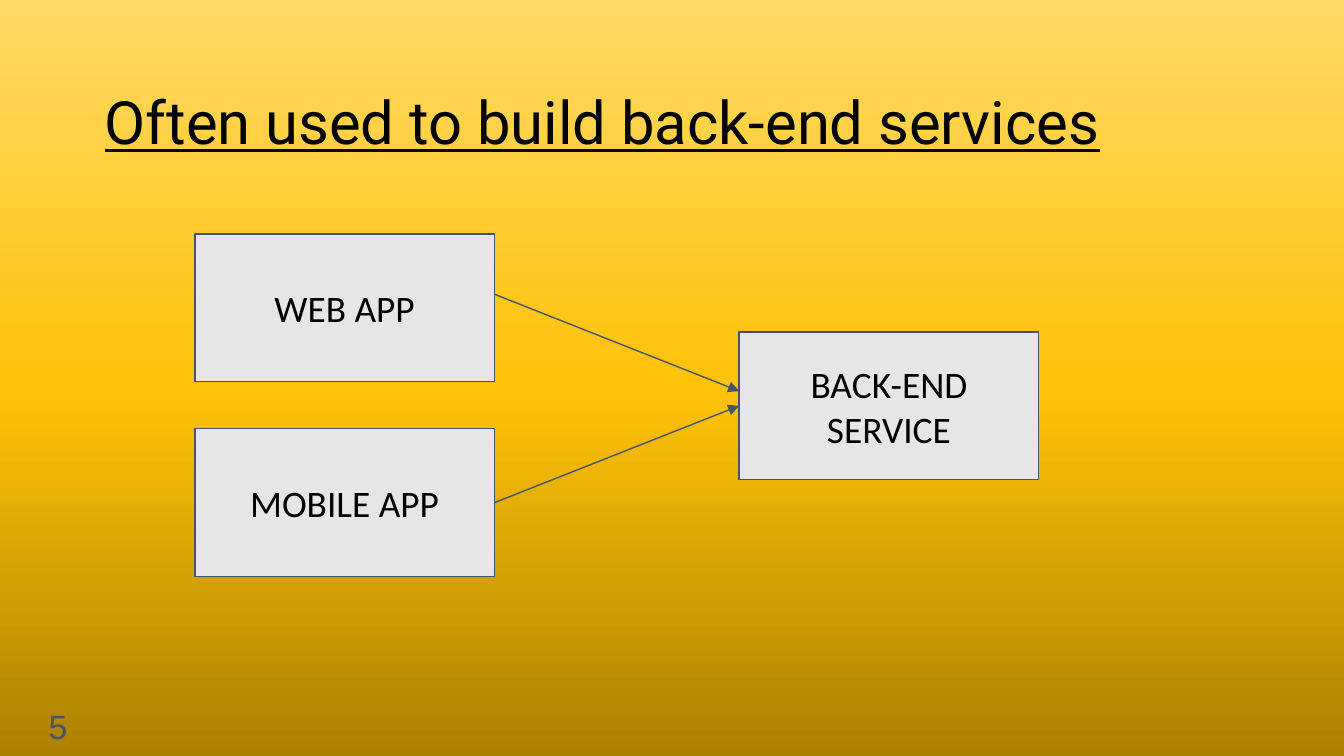
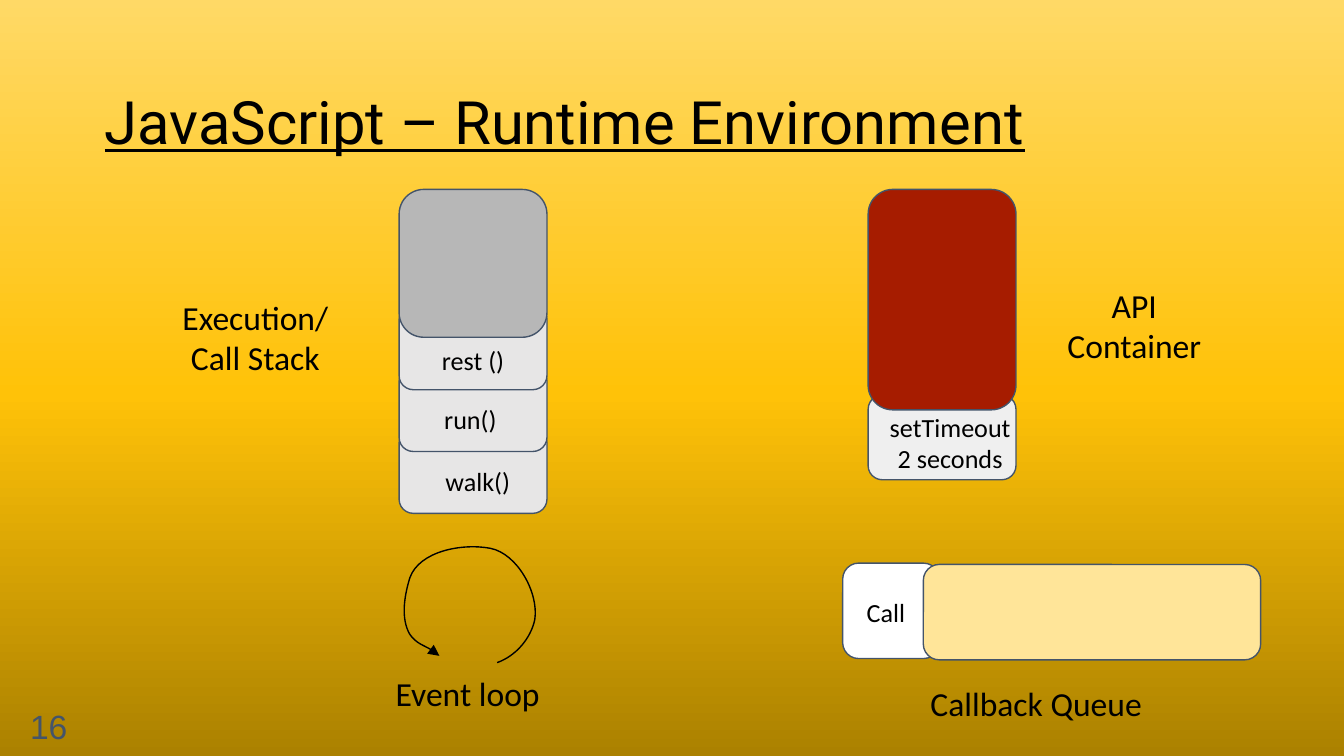
"""Builds two slides on back-end services and the JavaScript runtime."""
from lxml.etree import SubElement
from pptx import Presentation
from pptx.dml.color import RGBColor
from pptx.enum.shapes import MSO_CONNECTOR as CONN, MSO_SHAPE as SHAPE
from pptx.enum.text import MSO_ANCHOR as ANCHOR, MSO_AUTO_SIZE as FIT, PP_ALIGN as ALIGN
from pptx.oxml.ns import qn
from pptx.util import Pt

PX = 9144
SLIDE_W = 1000
BLACK, SLATE, SILVER = "000000", "44546A", "E7E6E6"
GRADIENT = [(0, "AB8100"), (48, "FFC208"), (100, "FFD966")]
TITLE_BOX, NUMBER_BOX = (68, 53, 932, 63), (0, 519, 60, 43)

SERVICE_W, SERVICE_H = 223, 110
SERVICES = [("WEB APP", 145, 174), ("MOBILE APP", 145, 319), ("BACK-END SERVICE", 550, 247)]
REQUESTS = [(368, 219, 550, 291), (368, 374, 550, 302)]

STACK_X, STACK_BOTTOM, STACK_STEP, FRAME_W, FRAME_H = 297, 319, 46, 110, 63
CALLS = [
    ("rest ()", (303, 248, 98, 16)),
    ("run()", (314, 290, 72, 34)),
    ("walk()", (312, 336, 87, 34)),
]
API_PARTS = [((646, 294, 110, 63), "EFEFEF"), ((646, 141, 110, 164), "A61C00")]
STACK_COVER = ((STACK_X, 141, FRAME_W, 110), "B7B7B7")
QUEUE_PARTS = [((627, 419, 72, 71), "FFFFFF"), ((687, 420, 251, 71), "FFE599")]
LOOP = [
    (370, 493), (384, 488), (395, 475), (398, 461), (401, 441), (385, 412), (365, 408),
    (344, 404), (312, 410), (305, 430), (301, 443), (298, 460), (305, 472),
    (310, 479), (321, 482), (327, 488),
]
CAPTIONS = [
    ("Execution/ Call Stack", (116, 211, 148, 121)),
    ("API Container", (770, 202, 148, 94)),
    ("Callback Queue", (637, 498, 268, 43)),
    ("Event loop", (243, 491, 210, 71)),
]
TIMEOUT = ("setTimeout 2 seconds", (646, 296, 122, 34))
CALLBACK = ("Call", (635, 434, 52, 55))


def rgb(code):
    return RGBColor.from_string(code)


def emu(lengths):
    return [n * PX for n in lengths]


def write(sp, text, size, align, font="Calibri", color=BLACK, anchor=ANCHOR.TOP, underline=None):
    tf = sp.text_frame
    tf.text = text
    tf.word_wrap, tf.auto_size, tf.vertical_anchor = True, FIT.NONE, anchor
    tf.margin_left = tf.margin_top = tf.margin_right = tf.margin_bottom = 10 * PX
    p = tf.paragraphs[0]
    p.alignment = align
    f = p.runs[0].font
    f.name, f.size, f.underline = font, Pt(size), underline
    f.color.rgb = rgb(color)


def label(s, text, box, size, align=ALIGN.CENTER, **style):
    write(s.shapes.add_textbox(*emu(box)), text, size, align, **style)


def outline(sp, color):
    sp.line.color.rgb = rgb(color)
    sp.line.width = Pt(0.75)


def add_arrowhead(sp):
    SubElement(sp.element.spPr.find(qn("a:ln")), qn("a:tailEnd"), type="triangle")


def block(s, box, fill, kind=SHAPE.ROUNDED_RECTANGLE):
    sp = s.shapes.add_shape(kind, *emu(box))
    sp.shadow.inherit = False
    sp.fill.solid()
    sp.fill.fore_color.rgb = rgb(fill)
    outline(sp, SLATE)
    return sp


def arrow(s, ends):
    line = s.shapes.add_connector(CONN.STRAIGHT, *emu(ends))
    outline(line, SLATE)
    add_arrowhead(line)
    SubElement(line.element.spPr, qn("a:effectLst"))


def curved_arrow(s, points):
    builder = s.shapes.build_freeform(*points[0], scale=PX)
    builder.add_line_segments(points[1:], close=False)
    sp = builder.convert_to_shape()
    sp.shadow.inherit = False
    sp.fill.background()
    outline(sp, BLACK)
    add_arrowhead(sp)
    route = next(sp.element.iter(qn("a:path")))
    segments = route.findall(qn("a:lnTo"))
    for i in range(0, len(segments), 3):
        curve = SubElement(route, qn("a:cubicBezTo"))
        for segment in segments[i:i + 3]:
            curve.append(segment[0])
            route.remove(segment)


def paint_background(master):
    fill = master.background.fill
    fill.gradient()
    fill.gradient_angle = 90
    stops = next(master.element.iter(qn("a:gsLst")))
    for stop in list(stops):
        stops.remove(stop)
    for pos, color in GRADIENT:
        stop = SubElement(stops, qn("a:gs"), pos=str(pos * 1000))
        SubElement(stop, qn("a:srgbClr"), val=color)


def new_slide(prs, title, number):
    s = prs.slides.add_slide(prs.slide_layouts[5])
    sp = s.shapes.title
    sp.left, sp.top, sp.width, sp.height = emu(TITLE_BOX)
    write(sp, title, 32, ALIGN.LEFT, font="Roboto", underline=True)
    label(s, number, NUMBER_BOX, 18, ALIGN.RIGHT, font="Arial", color=SLATE, anchor=ANCHOR.MIDDLE)
    return s


def build_services(prs):
    s = new_slide(prs, "Often used to build back-end services", "5")
    for text, x, y in SERVICES:
        sp = block(s, (x, y, SERVICE_W, SERVICE_H), SILVER, SHAPE.RECTANGLE)
        write(sp, text, 20, ALIGN.CENTER, anchor=ANCHOR.MIDDLE)
    for ends in REQUESTS:
        arrow(s, ends)


def build_runtime(prs):
    s = new_slide(prs, "JavaScript – Runtime Environment", "16")
    frames = [((STACK_X, STACK_BOTTOM - i * STACK_STEP, FRAME_W, FRAME_H), SILVER)
              for i in range(len(CALLS))]
    for box, fill in API_PARTS + frames + [STACK_COVER] + QUEUE_PARTS:
        block(s, box, fill)
    curved_arrow(s, LOOP)
    for text, box in CAPTIONS:
        label(s, text, box, 18)
    for text, box in CALLS + [TIMEOUT]:
        label(s, text, box, 14)
    label(s, *CALLBACK, 14, ALIGN.LEFT)


def main():
    prs = Presentation()
    prs.slide_width = SLIDE_W * PX
    prs.slide_height = prs.slide_width * 9 // 16
    paint_background(prs.slide_master)
    build_services(prs)
    build_runtime(prs)
    prs.save("out.pptx")


if __name__ == "__main__":
    main()
